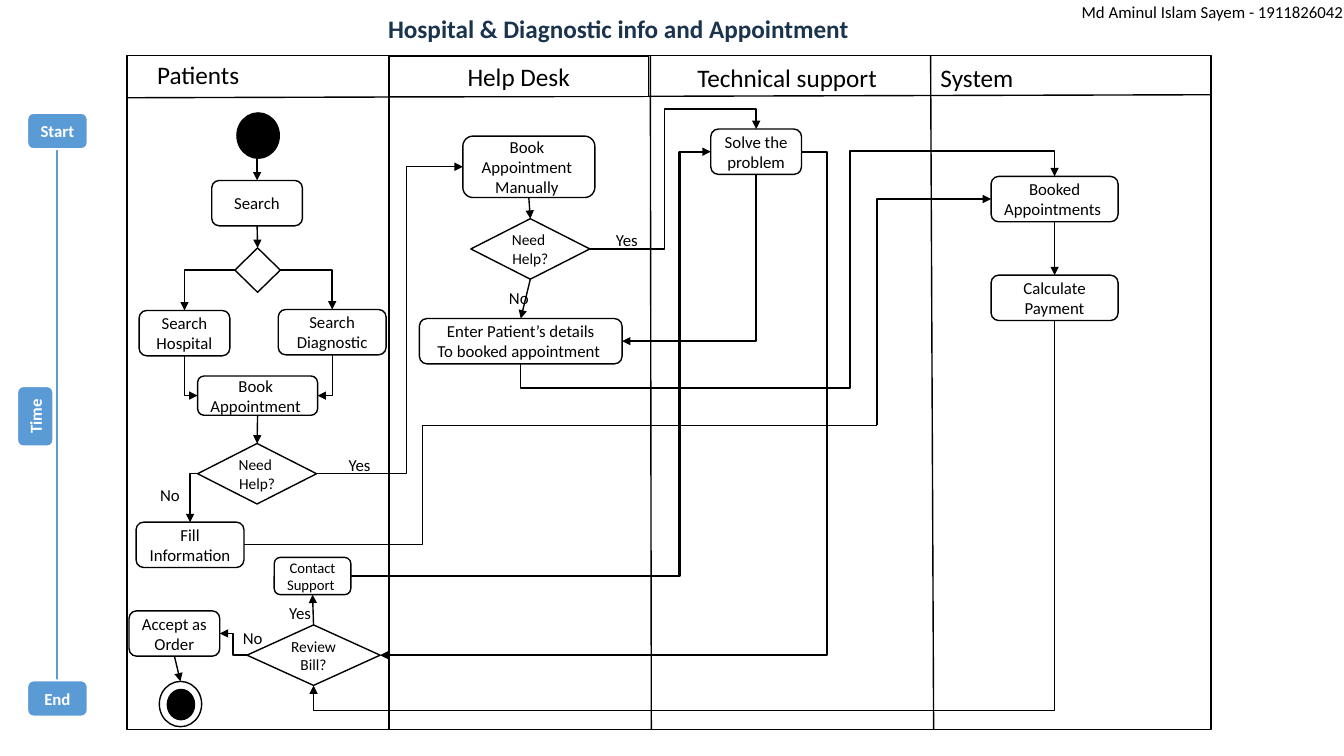
from lxml.etree import SubElement
from pptx import Presentation
from pptx.dml.color import RGBColor
from pptx.enum.shapes import MSO_CONNECTOR as LINK, MSO_SHAPE as KIND
from pptx.enum.text import MSO_ANCHOR, PP_ALIGN
from pptx.oxml.ns import qn
from pptx.util import Inches, Pt

BLACK, WHITE, BLUE, NAVY = "000000", "FFFFFF", "5B9BD5", "1B344D"
SIDES = {"t": (0, 0.5, 0), "l": (1, 0, 0.5), "b": (2, 0.5, 1), "r": (3, 1, 0.5)}
STEP, GATE, DISC = KIND.FLOWCHART_ALTERNATE_PROCESS, KIND.FLOWCHART_DECISION, KIND.OVAL

NODES = {
    "start": (DISC, 1.09, 0.57, 0.42, 0.45, "", 12),
    "search": (STEP, 0.84, 1.24, 0.9, 0.45, "Search", 12),
    "fork": (GATE, 1.07, 1.91, 0.45, 0.44, "", 12),
    "clinic": (STEP, 0.12, 2.53, 0.9, 0.45, "Search\nHospital", 12),
    "lab": (STEP, 1.5, 2.52, 1.07, 0.45, "Search\nDiagnostic", 12),
    "book": (STEP, 0.7, 3.18, 1.19, 0.39, "Book \vAppointment ", 12),
    "help": (GATE, 0.7, 3.85, 1.18, 0.6, "Need \vHelp?", 11),
    "fill": (STEP, 0.09, 4.63, 1.07, 0.45, "Fill Information", 12),
    "contact": (STEP, 1.46, 4.98, 0.76, 0.37, "Contact Support ", 10.5),
    "review": (GATE, 1.19, 5.65, 1.32, 0.6, "Review Bill?", 11),
    "accept": (STEP, 0.02, 5.51, 0.9, 0.45, "Accept as Order", 12),
    "ring": (DISC, 0.32, 6.21, 0.42, 0.45, "", 12),
    "dot": (DISC, 0.4, 6.29, 0.27, 0.3, "", 12),
    "manual": (STEP, 3.33, 0.8, 1.31, 0.61, "Book \vAppointment \vManually ", 12),
    "desk": (GATE, 3.41, 1.62, 1.18, 0.6, "Need \vHelp?", 11),
    "enter": (STEP, 2.9, 2.61, 2.01, 0.45,
              "Enter Patient’s details\vTo booked appointment ", 12),
    "solve": (STEP, 5.79, 0.73, 0.9, 0.45, "Solve the problem", 12),
    "booked": (STEP, 8.57, 1.2, 1.26, 0.45, "Booked Appointments ", 12),
    "pay": (STEP, 8.57, 2.18, 1.26, 0.45, "Calculate Payment", 12),
}
DIRECT = [
    ((1.29, 1.02), "b", "search", "t"), ("search", "b", "fork", "t"),
    ("book", "b", "help", "t"), ("manual", "b", "desk", "t"),
    ("desk", "b", "enter", "t"), ("booked", "b", "pay", "t"),
    ("review", "t", "contact", "b"), ("accept", "b", "ring", "t"),
]
JOINS = (7.07, 3.3), (7.44, 3.67)
BENT = [
    ("fork", "r", "lab", "t", [], 1, True),
    ("fork", "l", "clinic", "t", [], 1, True),
    ("lab", "b", "book", "r", [], 1, True),
    ("clinic", "b", "book", "l", [], 1, True),
    ("help", "l", "fill", "t", [], 1, True),
    ("help", "r", "manual", "l", [2.77], 1, True),
    ("desk", "r", "solve", "t", [5.33, 0.53], 1, True),
    ("solve", "b", "enter", "r", [], 1, True),
    ("enter", "b", JOINS[0], "l", [], 1, False),
    (JOINS[0], "r", "booked", "t", [7.17, 0.95], 1, True),
    ("fill", "r", JOINS[1], "l", [2.93], 1, False),
    (JOINS[1], "t", "booked", "l", [], 1, True),
    ("pay", "b", "review", "b", [6.5], 1, True),
    ("review", "l", "accept", "r", [1.05], 1, True),
    ("contact", "r", "solve", "l", [5.48], 1.5, True),
    ("solve", "r", "review", "r", [6.94], 1.5, True),
]
LABELS = [("No", 1.05, 5.63), ("Yes", 2.1, 3.91), ("No", 0.23, 4.21),
          ("No", 3.69, 2.26), ("Yes", 4.75, 1.68), ("Yes", 1.51, 5.38)]


def tint(code):
    """Turn a hex string into a colour."""
    return RGBColor.from_string(code)


def style(frame, text, size, color=BLACK, bold=False, align=None):
    """Write text in a frame and format its runs."""
    frame.text = text
    for para in frame.paragraphs:
        para.alignment = align
        for run in para.runs:
            run.font.name, run.font.size, run.font.bold = "Calibri", Pt(size), bold
            run.font.color.rgb = tint(color)


def write(slide, box, text, size, color=BLACK, bold=False, align=None, wrap=False):
    """Place a text box."""
    area = slide.shapes.add_textbox(*map(Inches, box))
    style(area.text_frame, text, size, color, bold, align)
    area.text_frame.word_wrap = wrap


def shape(slide, kind, box, fill=None, line=BLACK, width=1):
    """Place a plain preset shape."""
    item = slide.shapes.add_shape(kind, *map(Inches, box))
    item.shadow.inherit = False
    if fill:
        item.fill.solid()
        item.fill.fore_color.rgb = tint(fill)
    else:
        item.fill.background()
    item.line.color.rgb, item.line.width = tint(line), Pt(width)
    return item


def label(item, text, size, color=BLACK, bold=False):
    """Centre a label inside a shape."""
    item.text_frame.vertical_anchor = MSO_ANCHOR.MIDDLE
    style(item.text_frame, text, size, color, bold, PP_ALIGN.CENTER)


def link(slide, start, end, kind=LINK.STRAIGHT, color=BLACK, width=1, arrow=False):
    """Draw a connector between two points."""
    wire = slide.shapes.add_connector(kind, *map(Inches, (*start, *end)))
    wire.line.color.rgb, wire.line.width = tint(color), Pt(width)
    if arrow:
        SubElement(wire.line._get_or_add_ln(), qn("a:tailEnd"), type="triangle")
    SubElement(wire._element.spPr, qn("a:effectLst"))
    return wire


def port(items, node, side, origin):
    """Find the point on a side of a node, or the point itself."""
    if isinstance(node, tuple):
        return [a + b for a, b in zip(node, origin)]
    item, (_, across, down) = items[node], SIDES[side]
    return [(item.left + item.width * across) / Inches(1),
            (item.top + item.height * down) / Inches(1)]


def glue(wire, items, first, exit, last, entry):
    """Attach the ends of a connector to the nodes they touch."""
    if first in items:
        wire.begin_connect(items[first], SIDES[exit][0])
    if last in items:
        wire.end_connect(items[last], SIDES[entry][0])


def bend(wire, start, end, upright, turns):
    """Shape an elbow that passes the given turns."""
    gap = [b - a for a, b in zip(start, end)]
    size = [abs(g) for g in gap]
    flips, angle = [g < 0 for g in gap], 0
    if upright:
        size.reverse()
        flips, angle = [gap[1] < 0, gap[0] > 0], 90
        if gap[0] > 0 and gap[1] > 0:
            flips, angle = [True, False], 270
    elif gap[0] < 0 and not turns:
        flips, angle = [False, not flips[1]], 180
    wire.left, wire.top = [Inches((a + b - s) / 2) for a, b, s in zip(start, end, size)]
    wire.width, wire.height = map(Inches, size)
    frame = wire._element.spPr.find(qn("a:xfrm"))
    frame.set("rot", str(angle * 60000))
    for name, flip in zip(("flipH", "flipV"), flips):
        frame.set(name, str(int(flip)))
    form = wire._element.spPr.find(qn("a:prstGeom"))
    form.set("prst", f"bentConnector{len(turns) + 2}")
    guides = form.find(qn("a:avLst"))
    for i, turn in enumerate(turns):
        axis = (i + upright) % 2
        ratio = round((turn - start[axis]) / gap[axis] * 100000)
        SubElement(guides, qn("a:gd"), name=f"adj{i + 1}" if len(turns) > 1 else "adj1",
                   fmla=f"val {ratio}")


def lanes(slide, box):
    """Draw the swimlanes with their headings."""
    x, y, w, h = box
    shape(slide, KIND.RECTANGLE, box)
    link(slide, (x, y + 0.42), (x + w, y + 0.39))
    for top, foot in ((2.6, 2.6), (5.19, 5.2), (7.97, 8)):
        link(slide, (x + top, y), (x + foot, y + h))
    desk = shape(slide, KIND.RECTANGLE, (x + 2.6, y + 0.01, 2.57, 0.4), WHITE)
    label(desk, "Help Desk", 18)
    for text, left, top, wide, align in (
            ("Patients", 0.2, -0.01, 2.39, None),
            ("Technical support ", 5.19, 0.02, 2.77, PP_ALIGN.CENTER),
            ("System", 7.97, 0.02, 2.8, None)):
        write(slide, (x + left, y + top, wide, 0.4), text, 18, align=align, wrap=True)


def flow(slide, box):
    """Draw the steps, their links and the answers."""
    x, y = origin = box[:2]
    items = {}
    for name, (kind, left, top, w, h, text, size) in NODES.items():
        fill = {"start": BLACK, "dot": BLACK, "ring": None}.get(name, WHITE)
        items[name] = shape(slide, kind, (x + left, y + top, w, h), fill)
        if text:
            label(items[name], text, size)
    for first, exit, last, entry in DIRECT:
        ends = port(items, first, exit, origin), port(items, last, entry, origin)
        glue(link(slide, *ends, arrow=True), items, first, exit, last, entry)
    for first, exit, last, entry, turns, width, arrow in BENT:
        ends = port(items, first, exit, origin), port(items, last, entry, origin)
        wire = link(slide, *ends, LINK.ELBOW, BLACK, width, arrow)
        glue(wire, items, first, exit, last, entry)
        upright = exit in "tb"
        bend(wire, *ends, upright,
             [t + origin[(i + upright) % 2] for i, t in enumerate(turns)])
    for text, left, top in LABELS:
        write(slide, (x + left, y + top, 0.42 if text == "Yes" else 0.4, 0.3), text, 12)


def clock(slide, box):
    """Draw the time bar from start to end."""
    x, y, w, h = box
    mid = x + w / 2
    link(slide, (mid, y + 0.36), (mid, y + h - 0.36), color=BLUE, width=1.5)
    for text, left, top, turn in (("Start", x, y, 0), ("End", x, y + h - 0.36, 0),
                                  ("Time", x - 0.22, y + 2.83, 270)):
        tag = shape(slide, STEP, (left, top, w, 0.36), BLUE, WHITE, 1.5)
        tag.rotation = turn
        label(tag, text, 12, WHITE, True)


def header(slide, box):
    """Write the title and the author."""
    x, y = box[:2]
    write(slide, (x + 3.75, y + 0.08, 4.81, 0.71),
          "Hospital & Diagnostic info and Appointment", 18, NAVY, True)
    write(slide, (x + 10.63, y - 0.03, 2.83, 0.3), "Md Aminul Islam Sayem - 1911826042", 12)


def main():
    """Build the slide and save it."""
    deck = Presentation()
    deck.slide_width, deck.slide_height = Inches(13.33), Inches(7.5)
    slide = deck.slides.add_slide(deck.slide_layouts[6])
    chart = (1.26, 0.55, 10.75, 6.69)
    lanes(slide, chart)
    flow(slide, chart)
    clock(slide, (0.27, 1.12, 0.6, 5.99))
    header(slide, (0, 0, 13.33, 0.55))
    deck.save("out.pptx")


if __name__ == "__main__":
    main()
